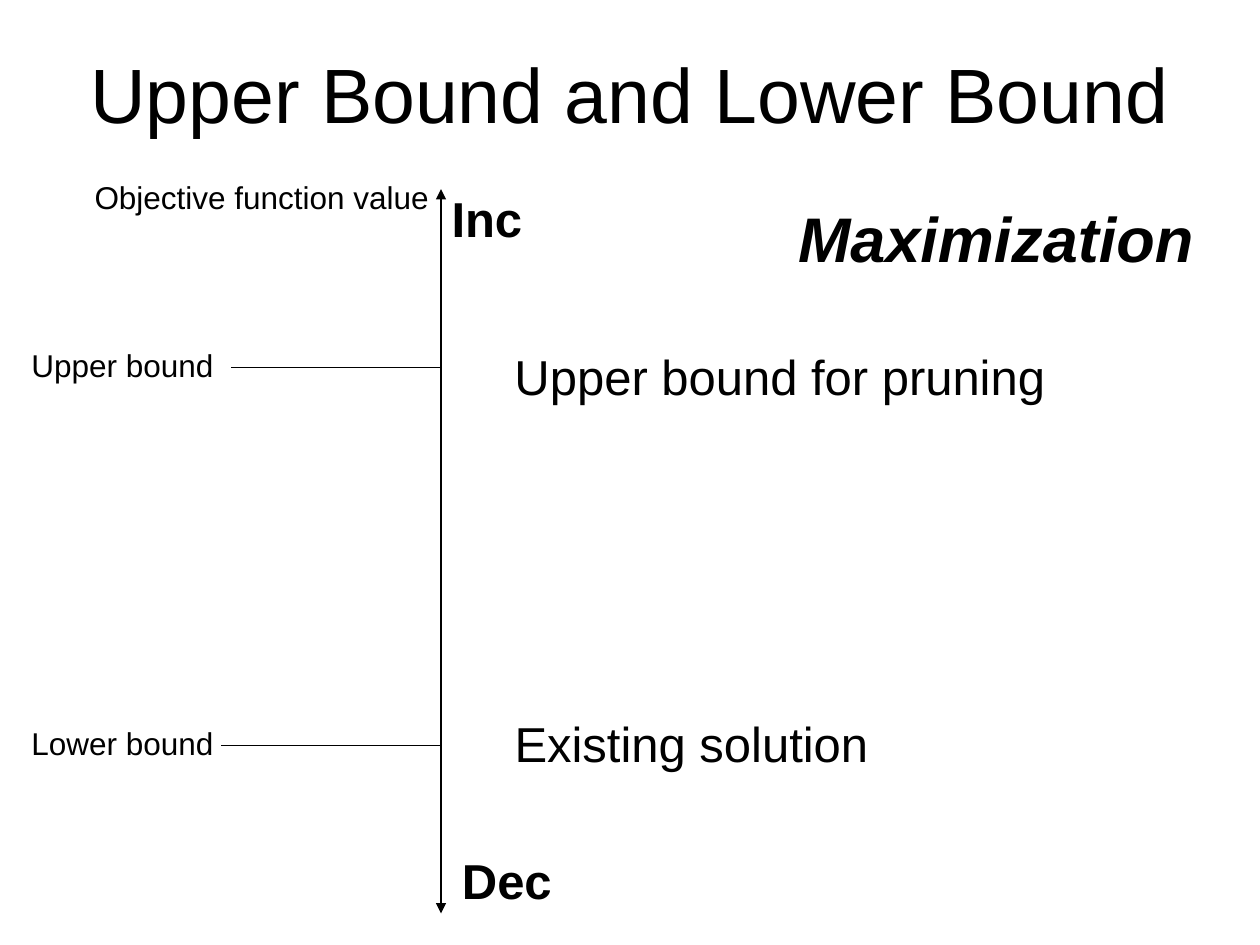
import pptx
import pptx.dml.color
import pptx.enum.shapes
import pptx.enum.text
import pptx.oxml
import pptx.oxml.ns
import pptx.util

COLORS = {"ink": "000000", "background": "FFFFFF"}
FONT = "Arial"
COLUMNS, ROWS = 120, 90
AXIS, AXIS_TOP, AXIS_BOTTOM = 42, 18, 87
UPPER, LOWER = 35, 71

deck = pptx.Presentation()
deck.slide_width = pptx.util.Inches(10)
deck.slide_height = pptx.util.Inches(7.5)
column = deck.slide_width / COLUMNS
row = deck.slide_height / ROWS
slide = deck.slides.add_slide(deck.slide_layouts[6])
slide.background.fill.solid()
slide.background.fill.fore_color.rgb = pptx.dml.color.RGBColor.from_string(COLORS["background"])


def add_label(words, left, top, width, height, size, bold=False, italic=False):
    """Place words on the grid in a box without margins and return its text frame."""
    label = slide.shapes.add_textbox(
        round(left * column), round(top * row), round(width * column), round(height * row))
    frame = label.text_frame
    frame.word_wrap = True
    frame.margin_left = frame.margin_right = frame.margin_top = frame.margin_bottom = 0
    run = frame.paragraphs[0].add_run()
    run.text = words
    run.font.name = FONT
    run.font.size = pptx.util.Pt(size)
    run.font.bold = bold
    run.font.italic = italic
    run.font.color.rgb = pptx.dml.color.RGBColor.from_string(COLORS["ink"])
    return frame


def add_line(start, end):
    """Draw a thin line between two (column, row) points of the grid."""
    line = slide.shapes.add_connector(
        pptx.enum.shapes.MSO_CONNECTOR.STRAIGHT,
        round(start[0] * column), round(start[1] * row),
        round(end[0] * column), round(end[1] * row))
    line.line.width = pptx.util.Pt(0.75)
    line.line.color.rgb = pptx.dml.color.RGBColor.from_string(COLORS["ink"])
    line._element.spPr.append(pptx.oxml.parse_xml(
        f"<a:effectLst {pptx.oxml.ns.nsdecls('a')}/>"))
    return line


title = add_label("Upper Bound and Lower Bound", 6, 3.6, 108, 10.4, 44)
title.vertical_anchor = pptx.enum.text.MSO_ANCHOR.MIDDLE
title.paragraphs[0].alignment = pptx.enum.text.PP_ALIGN.CENTER

# Objective value axis with an arrowhead at each end
axis = add_line((AXIS, AXIS_TOP), (AXIS, AXIS_BOTTOM))
for end in ("headEnd", "tailEnd"):
    axis.line._get_or_add_ln().append(pptx.oxml.parse_xml(
        f'<a:{end} {pptx.oxml.ns.nsdecls("a")} type="triangle"/>'))

# Bounds: tick on the axis, name on the left, meaning on the right
for name, level, tick_end, meaning, meaning_top, meaning_width in (
    ("Upper bound", UPPER, 22, "Upper bound for pruning", 33, 53),
    ("Lower bound", LOWER, 21, "Existing solution", 68, 44),
):
    add_line((AXIS, level), (tick_end, level))
    add_label(name, 3, level - 2, 18, 3.6, 18)
    add_label(meaning, 49, meaning_top, meaning_width, 5.6, 28)

add_label("Objective function value", 9, 17, 32, 3.6, 18)
add_label("Inc", 43, 18, 8, 5.6, 28, bold=True)
add_label("Dec", 44, 81, 11, 5.6, 28, bold=True)
add_label("Maximization", 76, 19, 38, 7.2, 36, bold=True, italic=True)

deck.save("out.pptx")
